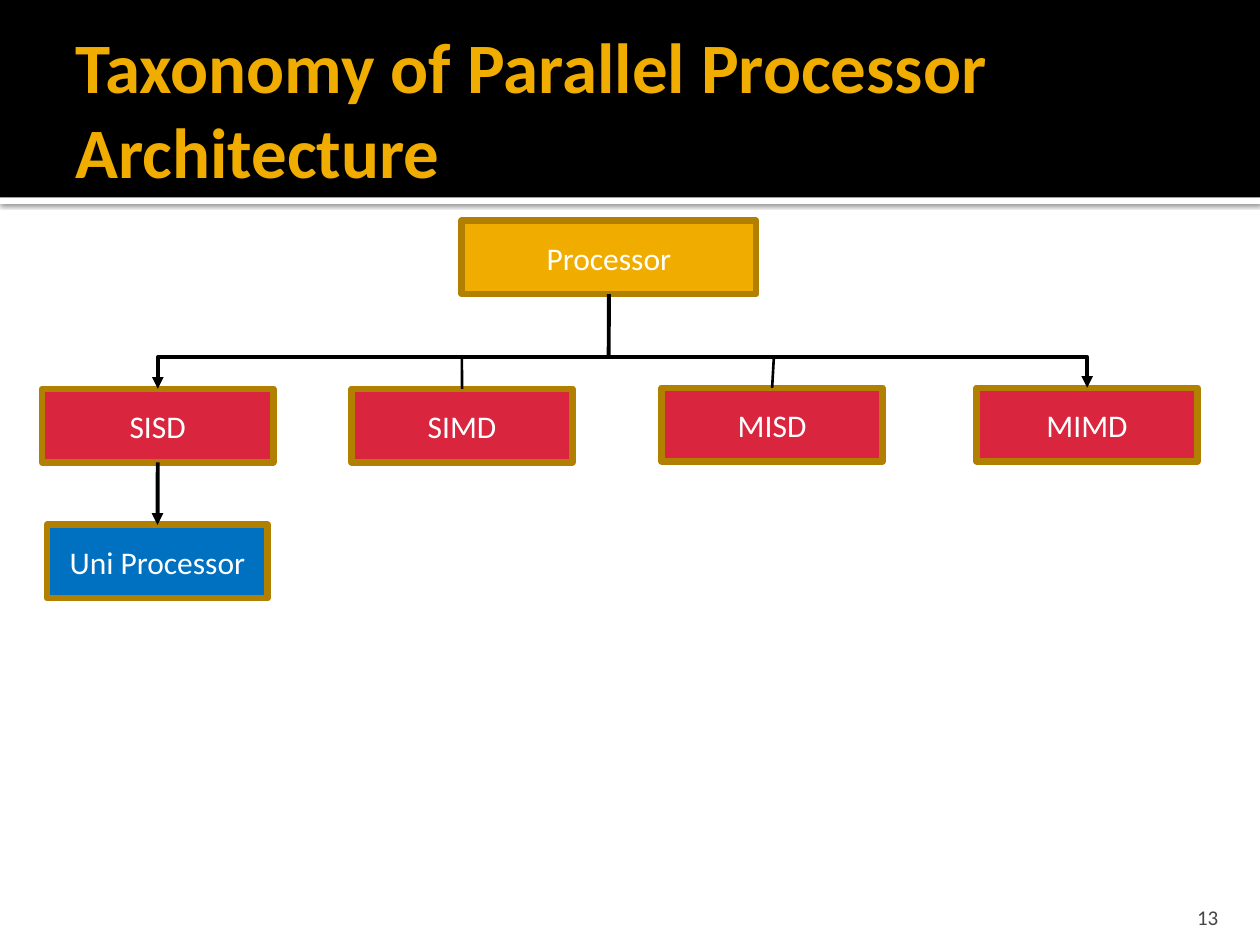
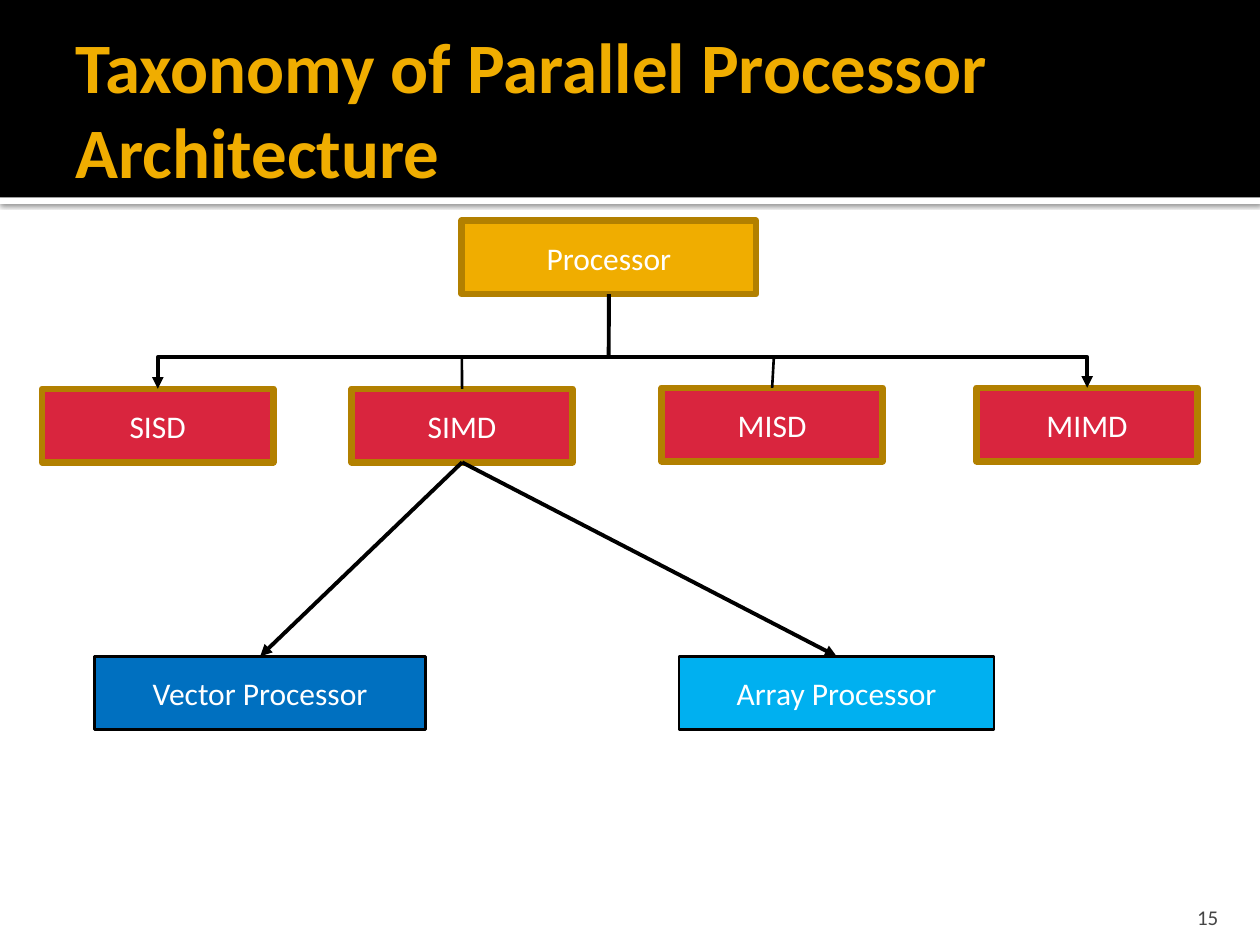
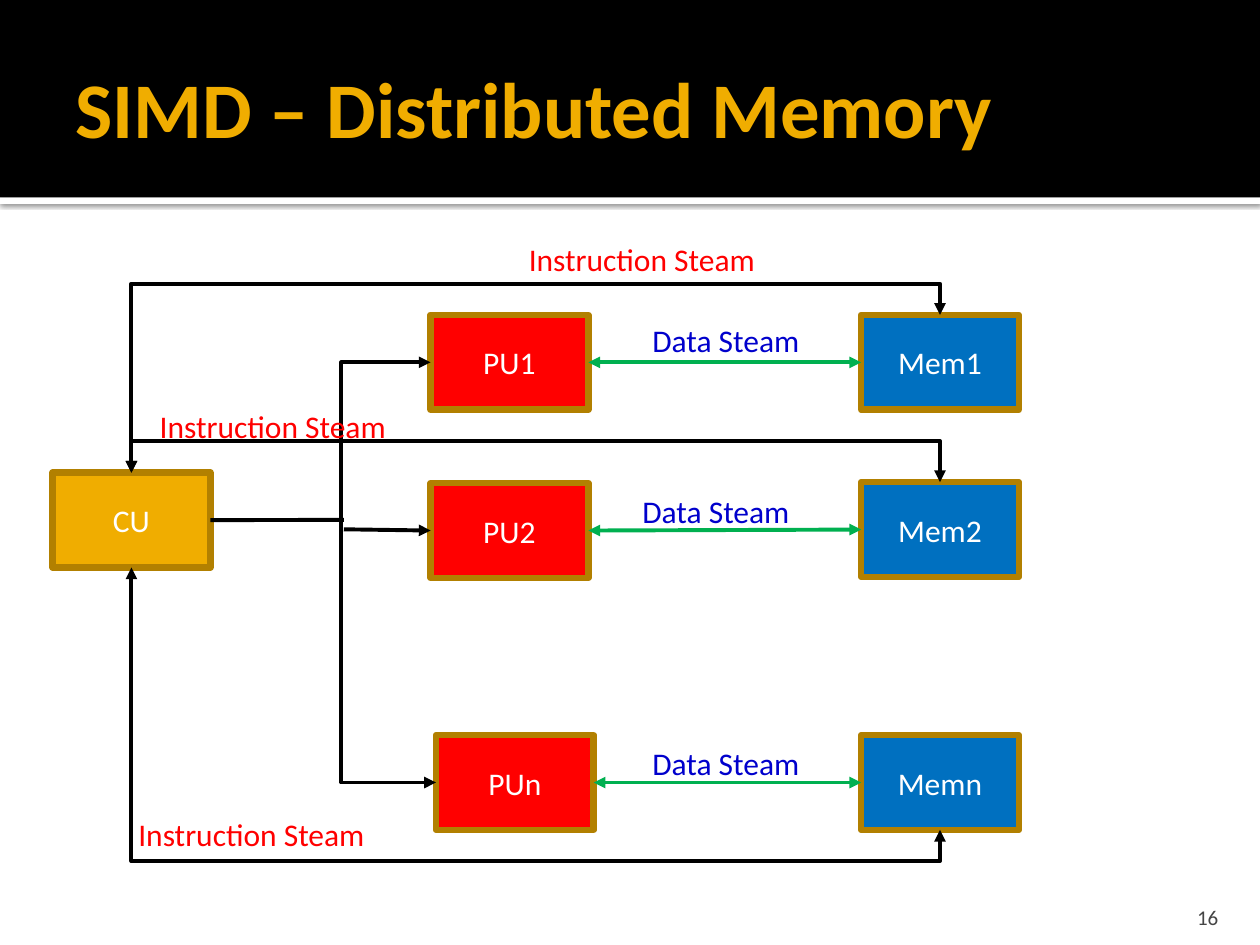
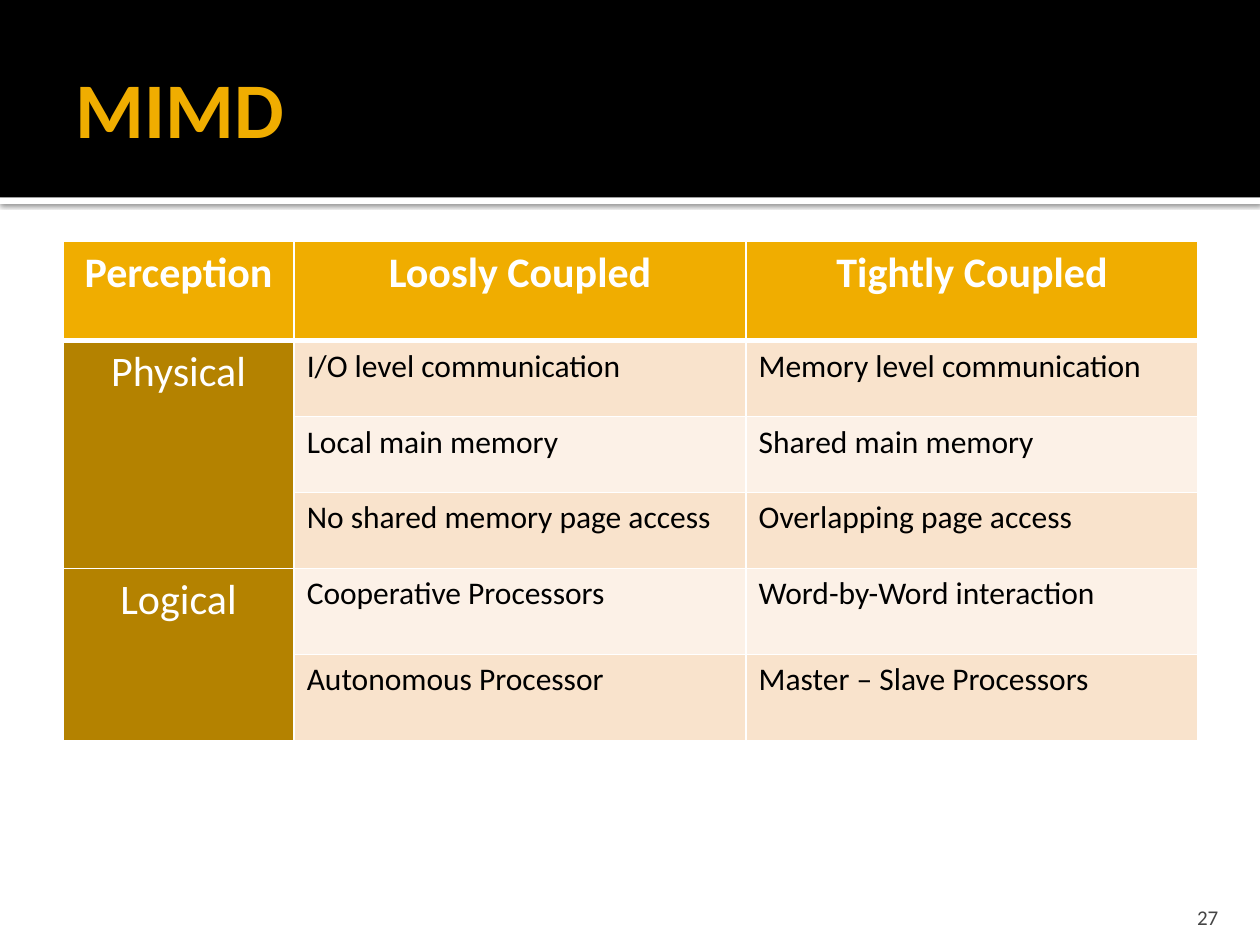
"""Build four slides on the taxonomy of parallel processor architecture."""
from dataclasses import dataclass
from typing import NamedTuple

from lxml import etree
from pptx import Presentation
from pptx.dml.color import RGBColor
from pptx.enum.shapes import MSO_CONNECTOR, MSO_SHAPE
from pptx.enum.text import MSO_ANCHOR, PP_ALIGN
from pptx.oxml.ns import qn
from pptx.shapes.autoshape import Shape
from pptx.shapes.connector import Connector
from pptx.slide import Slide
from pptx.table import _Cell
from pptx.util import Cm, Pt

RECTANGLE = MSO_SHAPE.RECTANGLE
STRAIGHT, ELBOW = MSO_CONNECTOR.STRAIGHT, MSO_CONNECTOR.ELBOW
LEFT, CENTER, RIGHT = PP_ALIGN.LEFT, PP_ALIGN.CENTER, PP_ALIGN.RIGHT
TOP, MIDDLE, BOTTOM = MSO_ANCHOR.TOP, MSO_ANCHOR.MIDDLE, MSO_ANCHOR.BOTTOM
TOP_SITE, LEFT_SITE, BOTTOM_SITE, RIGHT_SITE = range(4)

FONT = "Calibri"
COLORS = {
    "black": "000000",
    "white": "FFFFFF",
    "gold": "F0AD00",
    "border": "B28000",
    "crimson": "D9253E",
    "red": "FF0000",
    "blue": "0070C0",
    "sky": "00B0F0",
    "navy": "0000CC",
    "green": "00B050",
    "gray": "454545",
    "group": "B48200",
    "dark row": "F9E3CC",
    "light row": "FCF1E7",
}
SLIDE_WIDTH, SLIDE_HEIGHT = 25.4, 19.05
BAND_HEIGHT, STRIP_HEIGHT = 3.98, 0.13
TAXONOMY_TITLE = "Taxonomy of Parallel Processor Architecture"
BOX_HEIGHT, UNIT_WIDTH, UNIT_HEIGHT = 1.48, 3.18, 1.91
BUS_Y = 7.2


@dataclass
class Box:
    """A filled rectangle with a centred label, in centimetres."""
    text: str
    left: float
    top: float
    width: float
    height: float
    fill: str
    border: str = "border"
    border_width: float = 3.78


@dataclass
class Label:
    """A free-standing text, in centimetres."""
    text: str
    left: float
    top: float
    width: float
    height: float
    size: float
    color: str
    bold: bool = False
    align: PP_ALIGN = LEFT
    anchor: MSO_ANCHOR = TOP
    insets: tuple[float, float, float, float] = (0.25, 0.13, 0.25, 0.13)


class Port(NamedTuple):
    """The middle of one side of a drawn box."""
    box: Shape
    site: int


class Point(NamedTuple):
    """A free place on the slide, in centimetres."""
    x: float
    y: float


def rgb(name: str) -> RGBColor:
    """Look up a named colour."""
    return RGBColor.from_string(COLORS[name])


def style_text(frame, text: str, size: float, color: str,
               bold: bool = False, align: PP_ALIGN = LEFT) -> None:
    """Write one paragraph and set its font."""
    frame.text = text
    para = frame.paragraphs[0]
    para.alignment = align
    para.font.name = FONT
    para.font.size = Pt(size)
    para.font.bold = bold
    para.font.color.rgb = rgb(color)


def add_rectangle(page: Slide, left: float, top: float, width: float,
                  height: float, fill: str) -> Shape:
    """Draw a plain rectangle without line or shadow."""
    box = page.shapes.add_shape(RECTANGLE, Cm(left), Cm(top), Cm(width), Cm(height))
    box.shadow.inherit = False
    box.fill.solid()
    box.fill.fore_color.rgb = rgb(fill)
    box.line.fill.background()
    return box


def add_box(page: Slide, item: Box) -> Shape:
    """Draw a bordered, labelled box."""
    box = add_rectangle(page, item.left, item.top, item.width, item.height, item.fill)
    box.line.color.rgb = rgb(item.border)
    box.line.width = Pt(item.border_width)
    box.text_frame.word_wrap = True
    box.text_frame.vertical_anchor = MIDDLE
    style_text(box.text_frame, item.text, 18, "white", align=CENTER)
    return box


def add_label(page: Slide, item: Label) -> None:
    """Draw a text box."""
    box = page.shapes.add_textbox(Cm(item.left), Cm(item.top),
                                  Cm(item.width), Cm(item.height))
    frame = box.text_frame
    frame.word_wrap = True
    frame.vertical_anchor = item.anchor
    (frame.margin_left, frame.margin_top,
     frame.margin_right, frame.margin_bottom) = map(Cm, item.insets)
    style_text(frame, item.text, item.size, item.color, item.bold, item.align)


def locate(end: Port | Point) -> tuple[int, int]:
    """Return the place of a connector end in slide units."""
    if isinstance(end, Point):
        return Cm(end.x), Cm(end.y)
    box, site = end
    across = {LEFT_SITE: 0, RIGHT_SITE: box.width}.get(site, box.width // 2)
    down = {TOP_SITE: 0, BOTTOM_SITE: box.height}.get(site, box.height // 2)
    return box.left + across, box.top + down


def add_link(page: Slide, start: Port | Point, end: Port | Point, arrows: str = "",
             color: str = "black", width: float = 2.25,
             kind: MSO_CONNECTOR = STRAIGHT) -> Connector:
    """Join two ends by a line; arrows names its head and tail ends."""
    link = page.shapes.add_connector(kind, *locate(start), *locate(end))
    if isinstance(start, Port):
        link.begin_connect(*start)
    if isinstance(end, Port):
        link.end_connect(*end)
    link.line.color.rgb = rgb(color)
    link.line.width = Pt(width)
    properties = link.element.spPr
    for arrow in arrows.split():
        etree.SubElement(properties.find(qn("a:ln")), qn(f"a:{arrow}End"), type="triangle")
    etree.SubElement(properties, qn("a:effectLst"))
    return link


def add_bent_link(page: Slide, start: Port, end: Port, level: float) -> None:
    """Join two ports by a two-headed U whose middle run lies at the level."""
    link = add_link(page, start, end, "head tail", kind=ELBOW)
    (start_x, start_y), (end_x, end_y) = locate(start), locate(end)
    upright = start.site in (TOP_SITE, BOTTOM_SITE)
    first, last = (start_y, end_y) if upright else (start_x, end_x)
    properties = link.element.spPr
    if upright:
        link.width, link.height = abs(end_y - start_y), abs(end_x - start_x)
        link.left = (start_x + end_x - link.width) // 2
        link.top = (start_y + end_y - link.height) // 2
        frame = properties.find(qn("a:xfrm"))
        frame.set("rot", "5400000")
        frame.set("flipH", str(int(end_y < start_y)))
        frame.set("flipV", "1")
    bend = round((Cm(level) - first) / (last - first) * 100000)
    guides = properties.find(qn("a:prstGeom")).find(qn("a:avLst"))
    etree.SubElement(guides, qn("a:gd"), name="adj1", fmla=f"val {bend}")


def add_page(deck: Presentation, title: str, number: int, title_size: float) -> Slide:
    """Add a slide with the title band, the strip below it and the number."""
    page = deck.slides.add_slide(deck.slide_layouts[6])
    strip = add_rectangle(page, 0, BAND_HEIGHT, SLIDE_WIDTH, STRIP_HEIGHT, "white")
    shadow = etree.SubElement(
        strip.element.spPr.find(qn("a:effectLst")), qn("a:outerShdw"),
        blurRad=str(Pt(2.5)), dist=str(Pt(0.8)), dir="5400000", algn="tl", rotWithShape="0")
    shade = etree.SubElement(shadow, qn("a:srgbClr"), val=COLORS["black"])
    etree.SubElement(shade, qn("a:alpha"), val="60000")
    add_rectangle(page, 0, 0, SLIDE_WIDTH, BAND_HEIGHT, "black")
    add_label(page, Label(title, 1.27, 0.43, 22.86, 3.47, title_size, "gold", True,
                          anchor=MIDDLE, insets=(0.25, 0.13, 0.13, 0.13)))
    add_label(page, Label(str(number), 22.78, 17.98, 2.03, 0.76, 12, "gray",
                          align=RIGHT, anchor=BOTTOM, insets=(0.25, 0.13, 0.25, 0)))
    return page


def add_taxonomy(page: Slide) -> dict[str, Shape]:
    """Draw the processor tree and return its class boxes by name."""
    processor = add_box(page, Box("Processor", 9.31, 4.45, 5.93, BOX_HEIGHT, "gold"))
    places = {"SISD": (0.85, 7.84, 4.66), "SIMD": (7.09, 7.84, 4.45),
              "MISD": (13.34, 7.82, 4.45), "MIMD": (19.69, 7.82, 4.45)}
    classes = {name: add_box(page, Box(name, *place, BOX_HEIGHT, "crimson"))
               for name, place in places.items()}
    add_bent_link(page, Port(classes["SISD"], TOP_SITE), Port(classes["MIMD"], TOP_SITE), BUS_Y)
    add_link(page, Port(processor, BOTTOM_SITE), Point(12.27, BUS_Y))
    for name, x in (("SIMD", 9.31), ("MISD", 15.6)):
        add_link(page, Point(x, BUS_Y), Port(classes[name], TOP_SITE), width=1.5)
    return classes


def build_sisd(deck: Presentation) -> None:
    """Show the taxonomy with the SISD branch."""
    page = add_page(deck, TAXONOMY_TITLE, 13, 40.5)
    classes = add_taxonomy(page)
    leaf = add_box(page, Box("Uni Processor", 0.95, 10.58, 4.45, BOX_HEIGHT, "blue"))
    add_link(page, Port(classes["SISD"], BOTTOM_SITE), Port(leaf, TOP_SITE), "tail")


def build_simd(deck: Presentation) -> None:
    """Show the taxonomy with the SIMD branch."""
    page = add_page(deck, TAXONOMY_TITLE, 15, 40.5)
    classes = add_taxonomy(page)
    for name, left, width, fill in (("Vector Processor", 1.91, 6.67, "blue"),
                                    ("Array Processor", 13.69, 6.35, "sky")):
        leaf = add_box(page, Box(name, left, 13.23, width, BOX_HEIGHT, fill, "black", 1.5))
        add_link(page, Port(classes["SIMD"], BOTTOM_SITE), Port(leaf, TOP_SITE), "tail")


def build_distributed_memory(deck: Presentation) -> None:
    """Show the control unit, processing units and memories."""
    page = add_page(deck, "SIMD – Distributed Memory", 16, 45)
    size = (UNIT_WIDTH, UNIT_HEIGHT)
    control = add_box(page, Box("CU", 1.06, 9.53, *size, "gold"))
    units = [add_box(page, Box(name, left, top, *size, "red"))
             for name, left, top in (("PU1", 8.68, 6.35), ("PU2", 8.68, 9.74),
                                     ("PUn", 8.79, 14.82))]
    memories = [add_box(page, Box(name, 17.36, top, *size, "blue"))
                for name, top in (("Mem1", 6.35), ("Mem2", 9.72), ("Memn", 14.82))]

    add_bent_link(page, Port(units[0], LEFT_SITE), Port(units[2], LEFT_SITE), 6.88)
    add_link(page, Port(control, RIGHT_SITE), Point(6.93, 10.48))
    add_link(page, Point(6.93, 10.67), Port(units[1], LEFT_SITE), "tail")
    for unit, memory in zip(units, memories):
        add_link(page, Port(unit, RIGHT_SITE), Port(memory, LEFT_SITE), "head tail", "green")
    routes = ((TOP_SITE, 5.72), (TOP_SITE, 8.89), (BOTTOM_SITE, 17.36))
    for memory, (site, level) in zip(memories, routes):
        add_bent_link(page, Port(control, site), Port(memory, site), level)

    for left, top in ((10.41, 4.7), (2.97, 8.08), (2.54, 16.31)):
        add_label(page, Label("Instruction Steam", left, top, 6.67, 1.02, 18, "red"))
    for left, top in ((12.9, 6.35), (12.7, 9.78), (12.9, 14.86)):
        add_label(page, Label("Data Steam", left, top, 3.7, 1.02, 18, "navy"))


def set_borders(cell: _Cell, top: float, bottom: float) -> None:
    """Give a cell white borders; top and bottom are widths in points."""
    properties = cell._tc.get_or_add_tcPr()
    for side, width in (("L", 1), ("R", 1), ("T", top), ("B", bottom)):
        line = etree.SubElement(properties, qn(f"a:ln{side}"), w=str(Pt(width)))
        fill = etree.SubElement(line, qn("a:solidFill"))
        etree.SubElement(fill, qn("a:srgbClr"), val=COLORS["white"])


def build_mimd(deck: Presentation) -> None:
    """Show the table of loosely and tightly coupled systems."""
    page = add_page(deck, "MIMD", 27, 45)
    rows = (
        ("Perception", "Loosly Coupled", "Tightly Coupled"),
        ("Physical", "I/O level communication", "Memory level communication"),
        ("", "Local main memory", "Shared main memory"),
        ("", "No shared memory page access", "Overlapping page access"),
        ("Logical", "Cooperative Processors", "Word-by-Word interaction"),
        ("", "Autonomous Processor", "Master – Slave Processors"),
    )
    widths = (4.66, 9.11, 9.11)
    heights = (2, 1.53, 1.53, 1.53, 1.73, 1.74)
    table = page.shapes.add_table(len(rows), len(widths), Cm(1.27), Cm(4.87),
                                  Cm(sum(widths)), Cm(sum(heights))).table
    for column, width in zip(table.columns, widths):
        column.width = Cm(width)
    for row, height in zip(table.rows, heights):
        row.height = Cm(height)
    for first, last in ((1, 3), (4, 5)):
        table.cell(first, 0).merge(table.cell(last, 0))

    for r, texts in enumerate(rows):
        for c, text in enumerate(texts):
            cell = table.cell(r, c)
            header, heading = r == 0, r == 0 or c == 0
            set_borders(cell, 3 if r == 1 else 1, 3 if header else 1)
            band = "dark row" if r % 2 else "light row"
            cell.fill.solid()
            cell.fill.fore_color.rgb = rgb("gold" if header else "group" if c == 0 else band)
            if text:
                style_text(cell.text_frame, text, 24 if heading else 18,
                           "white" if heading else "black", header,
                           CENTER if heading else LEFT)


def main() -> None:
    """Build and save the deck."""
    deck = Presentation()
    deck.slide_width, deck.slide_height = Cm(SLIDE_WIDTH), Cm(SLIDE_HEIGHT)
    build_sisd(deck)
    build_simd(deck)
    build_distributed_memory(deck)
    build_mimd(deck)
    deck.save("out.pptx")


if __name__ == "__main__":
    main()
